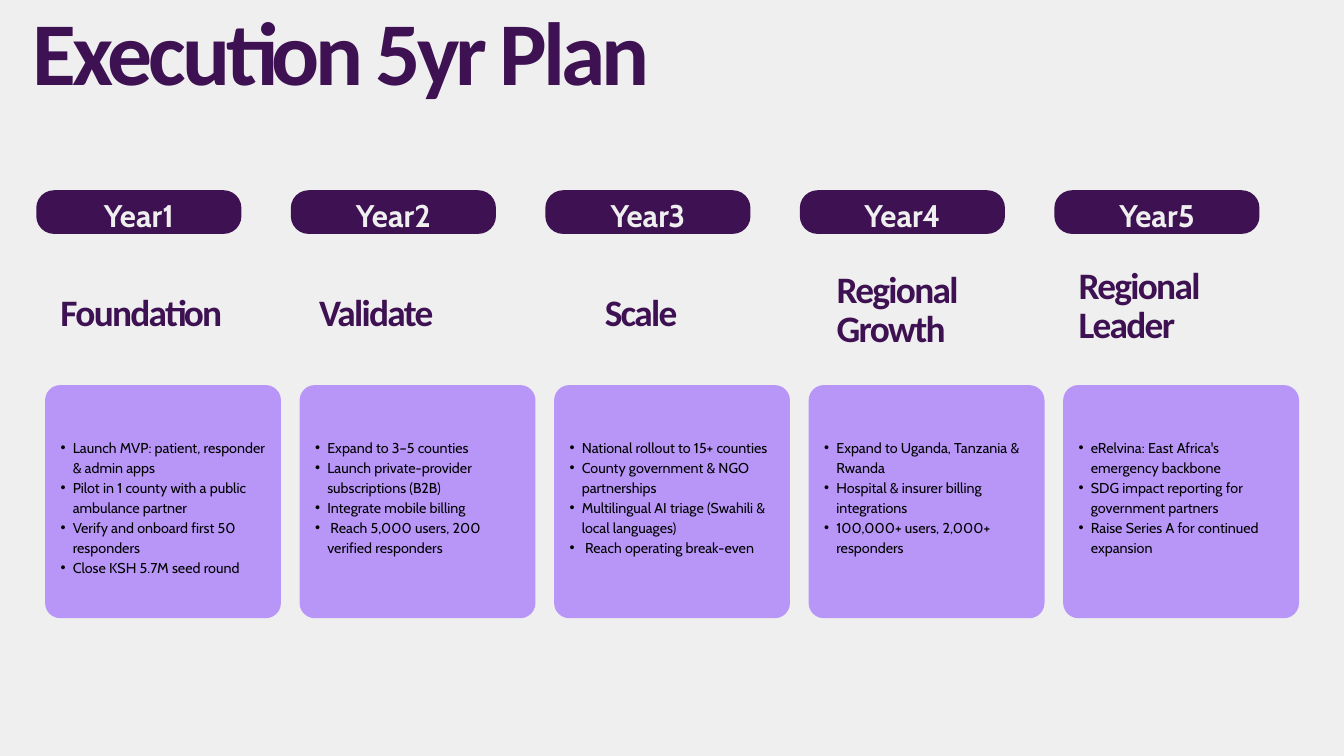
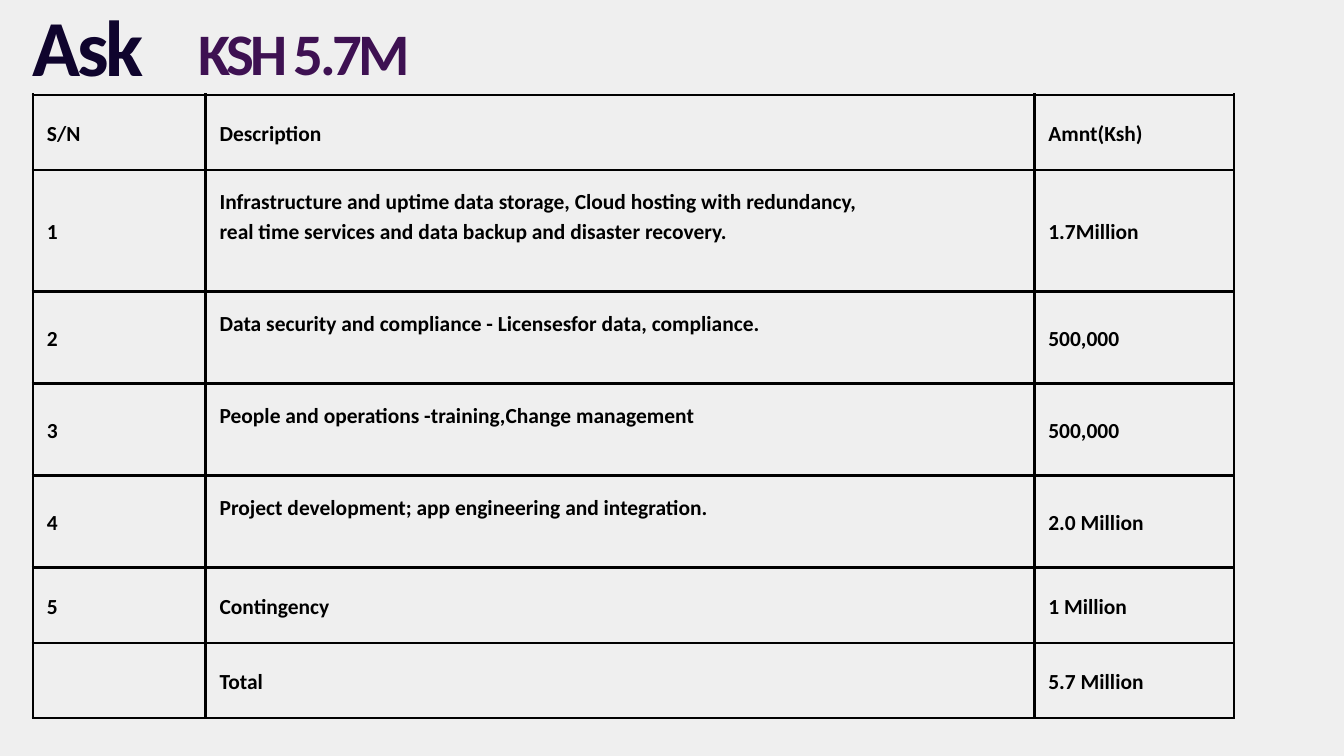
import pptx
import pptx.util
import pptx.dml.color
import pptx.enum.shapes
import pptx.enum.text
import pptx.oxml.ns
from lxml import etree

Pt = pptx.util.Pt
ANCHOR = pptx.enum.text.MSO_ANCHOR
ALIGN = pptx.enum.text.PP_ALIGN

BACKGROUND = "EFEFEF"
PURPLE = "3E1152"
LILAC = "B896F8"
NAVY = "0F042D"
BLACK = "000000"

PLAN_TITLE = "Execution 5yr Plan"
# Year, stage, left and top of the stage heading, goals
YEARS = [
    ("Year1", "Foundation", 64.8, 316.8, [
        "Launch MVP: patient, responder & admin apps",
        "Pilot in 1 county with a public ambulance partner",
        "Verify and onboard first 50 responders",
        "Close KSH 5.7M seed round"]),
    ("Year2", "Validate", 342, 316.8, [
        "Expand to 3–5 counties",
        "Launch private-provider subscriptions (B2B)",
        "Integrate mobile billing",
        " Reach 5,000 users, 200 verified responders"]),
    ("Year3", "Scale", 648, 316.8, [
        "National rollout to 15+ counties",
        "County government & NGO partnerships",
        "Multilingual AI triage (Swahili & local languages)",
        " Reach operating break-even"]),
    ("Year4", "Regional Growth", 896.4, 292.3, [
        "Expand to Uganda, Tanzania & Rwanda",
        "Hospital & insurer billing integrations",
        "100,000+ users, 2,000+ responders"]),
    ("Year5", "Regional Leader", 1155.6, 288, [
        "eRelvina: East Africa's emergency backbone",
        "SDG impact reporting for government partners",
        "Raise Series A for continued expansion"]),
]

ASK_TITLE = "Ask"
ASK_AMOUNT = "KSH 5.7M"
# Row height, lines left free below the description, cells (lists of lines)
BUDGET = [
    (80.6, 0, (["S/N"], ["Description"], ["Amnt(Ksh)"])),
    (130.3, 1, (["1"], [
        "Infrastructure and uptime data storage, Cloud hosting with redundancy,",
        "real time services and data backup and disaster recovery."], ["1.7Million"])),
    (98.6, 1, (["2"], ["Data security and compliance - Licensesfor data, compliance."],
               ["500,000"])),
    (98.6, 1, (["3"], ["People and operations -training,Change management"], ["500,000"])),
    (98.6, 1, (["4"], ["Project development; app engineering and integration."],
               ["2.0 Million"])),
    (80.6, 0, (["5"], ["Contingency"], ["1 Million"])),
    (80.6, 0, ([], ["Total"], ["5.7 Million"])),
]
BUDGET_WIDTHS = (185, 888, 214)
BUDGET_LEFT, BUDGET_TOP = 35.3, 101.5
CELL_MARGIN = 15
CELL_LINE = 32.2

COLUMN_PITCH = 272.7
PILL = (38.9, 203.8, 219.8, 46.8)
CARD = (48.3, 412.6, 252.7, 249.8)
GOALS = (52, 467.3, 235.4, 149)

# Font, size, colour, bold, letter spacing, line spacing
PLAN_STYLE = ("Calibri", 96, PURPLE, True, -4.3, 98.9)
ASK_STYLE = ("Calibri", 85, NAVY, True, -3.8, 87.5)
AMOUNT_STYLE = ("Calibri", 63, PURPLE, True, -3.8, 75.6)
STAGE_STYLE = ("Calibri", 40, PURPLE, True, -1.8, 41.2)
YEAR_STYLE = ("Cabin", 33.5, BACKGROUND, True, 0, 41)
GOAL_STYLE = ("Cabin", 15.3, BLACK, False, 0, 21.4)
CELL_STYLE = ("Calibri", 23, BLACK, True, 0, CELL_LINE)


def rgb(value):
    return pptx.dml.color.RGBColor.from_string(value)


def add_child(parent, tag, **attributes):
    return etree.SubElement(parent, pptx.oxml.ns.qn(tag), attributes)


def add_slide(presentation):
    slide = presentation.slides.add_slide(presentation.slide_layouts[6])
    slide.background.fill.solid()
    slide.background.fill.fore_color.rgb = rgb(BACKGROUND)
    return slide


def set_margins(holder, left, top, right, bottom):
    holder.margin_left, holder.margin_top = Pt(left), Pt(top)
    holder.margin_right, holder.margin_bottom = Pt(right), Pt(bottom)


def write(text_frame, lines, style, align=ALIGN.LEFT, bullet=False):
    font, size, colour, bold, tracking, spacing = style
    for index, line in enumerate(lines):
        paragraph = text_frame.add_paragraph() if index else text_frame.paragraphs[0]
        paragraph.alignment = align
        paragraph.line_spacing = Pt(spacing)
        if bullet:
            paragraph.level = 1
            properties = paragraph._p.get_or_add_pPr()
            properties.set("marL", str(Pt(26)))
            properties.set("indent", str(Pt(-13)))
            add_child(properties, "a:buFont", typeface="Arial")
            add_child(properties, "a:buChar", char="•")
        run = paragraph.add_run()
        run.text = line
        run.font.name, run.font.size, run.font.bold = font, Pt(size), bold
        run.font.color.rgb = rgb(colour)
        if tracking:
            run._r.get_or_add_rPr().set("spc", str(round(tracking * 100)))


def add_text(slide, box, lines, style, **options):
    frame = slide.shapes.add_textbox(*map(Pt, box)).text_frame
    frame.word_wrap = True
    set_margins(frame, 0, 0, 0, 0)
    write(frame, lines, style, **options)


def add_rounded(slide, box, radius, colour):
    shape = slide.shapes.add_shape(
        pptx.enum.shapes.MSO_SHAPE.ROUNDED_RECTANGLE, *map(Pt, box))
    shape.adjustments[0] = radius / min(box[2:])
    shape.shadow.inherit = False
    shape.fill.solid()
    shape.fill.fore_color.rgb = rgb(colour)
    shape.line.fill.background()
    return shape


def shift(box, offset):
    return (box[0] + offset, *box[1:])


def add_borders(cell):
    properties = cell._tc.get_or_add_tcPr()
    for side in ("a:lnL", "a:lnR", "a:lnT", "a:lnB"):
        line = add_child(properties, side, w=str(Pt(3)))
        add_child(add_child(line, "a:solidFill"), "a:srgbClr", val=BLACK)


def build_plan(presentation):
    slide = add_slide(presentation)
    add_text(slide, (35.3, 12.2, 880, 102), [PLAN_TITLE], PLAN_STYLE)
    for index, (year, stage, stage_left, stage_top, goals) in enumerate(YEARS):
        offset = index * COLUMN_PITCH
        pill = add_rounded(slide, shift(PILL, offset), 19, PURPLE)
        set_margins(pill.text_frame, 0, 0, 0, 0)
        pill.text_frame.vertical_anchor = ANCHOR.TOP
        write(pill.text_frame, [year], YEAR_STYLE, ALIGN.CENTER)
        add_text(slide, (stage_left, stage_top, 209.5, 42), [stage], STAGE_STYLE)
        add_rounded(slide, shift(CARD, offset), 16.3, LILAC)
        add_text(slide, shift(GOALS, offset), goals, GOAL_STYLE, bullet=True)


def build_ask(presentation):
    slide = add_slide(presentation)
    heights = [height for height, _, _ in BUDGET]
    table = slide.shapes.add_table(
        len(BUDGET), len(BUDGET_WIDTHS), Pt(BUDGET_LEFT), Pt(BUDGET_TOP),
        Pt(sum(BUDGET_WIDTHS)), Pt(sum(heights))).table
    table.first_row = table.horz_banding = False
    for column, width in zip(table.columns, BUDGET_WIDTHS):
        column.width = Pt(width)
    for row_index, (height, free_lines, texts) in enumerate(BUDGET):
        table.rows[row_index].height = Pt(height)
        for column_index, lines in enumerate(texts):
            cell = table.cell(row_index, column_index)
            below = free_lines * CELL_LINE if column_index == 1 else 0
            set_margins(cell, CELL_MARGIN, CELL_MARGIN, CELL_MARGIN, CELL_MARGIN + below)
            cell.vertical_anchor = ANCHOR.MIDDLE
            add_borders(cell)
            cell.fill.background()
            write(cell.text_frame, lines, CELL_STYLE)
    add_text(slide, (35.3, 11.5, 163.4, 90), [ASK_TITLE], ASK_STYLE)
    add_text(slide, (198.7, 18, 254.2, 75.6), [ASK_AMOUNT], AMOUNT_STYLE, align=ALIGN.CENTER)


def main():
    presentation = pptx.Presentation()
    presentation.slide_width, presentation.slide_height = Pt(1440), Pt(810)
    build_plan(presentation)
    build_ask(presentation)
    presentation.save("out.pptx")


if __name__ == "__main__":
    main()
